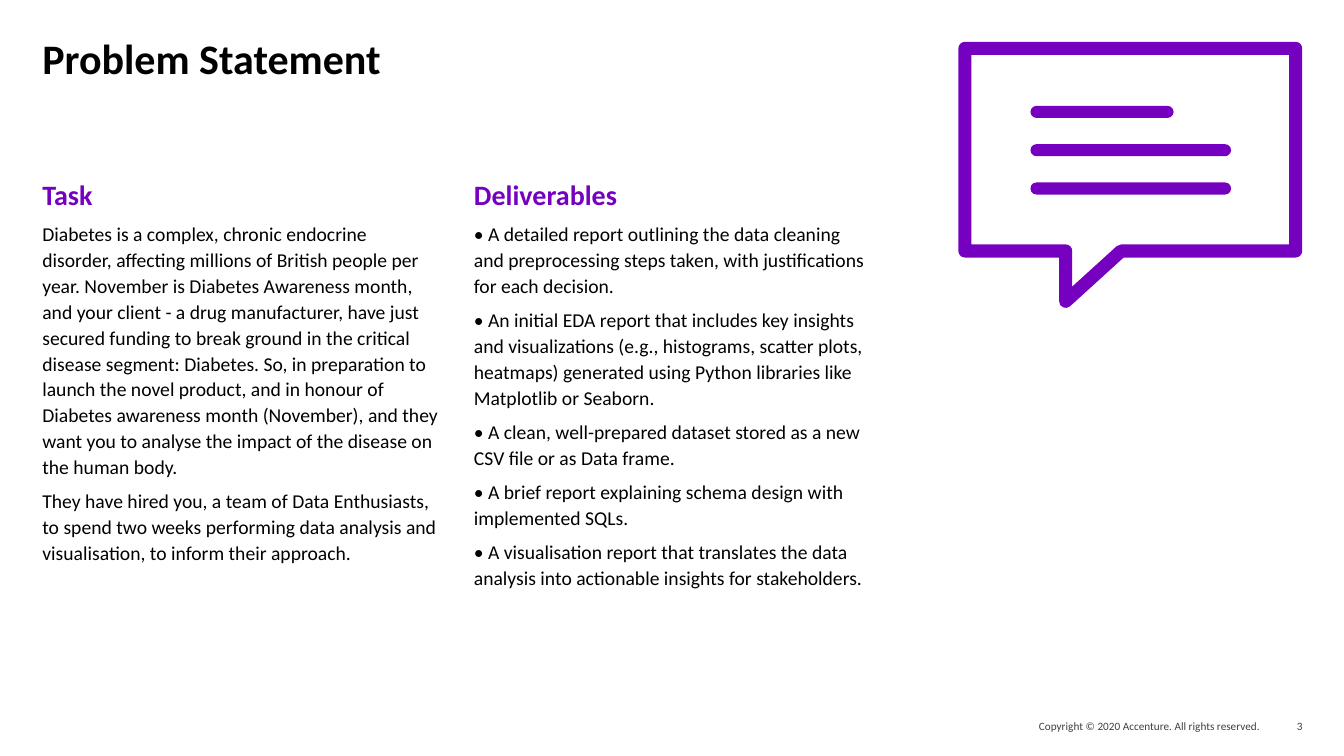
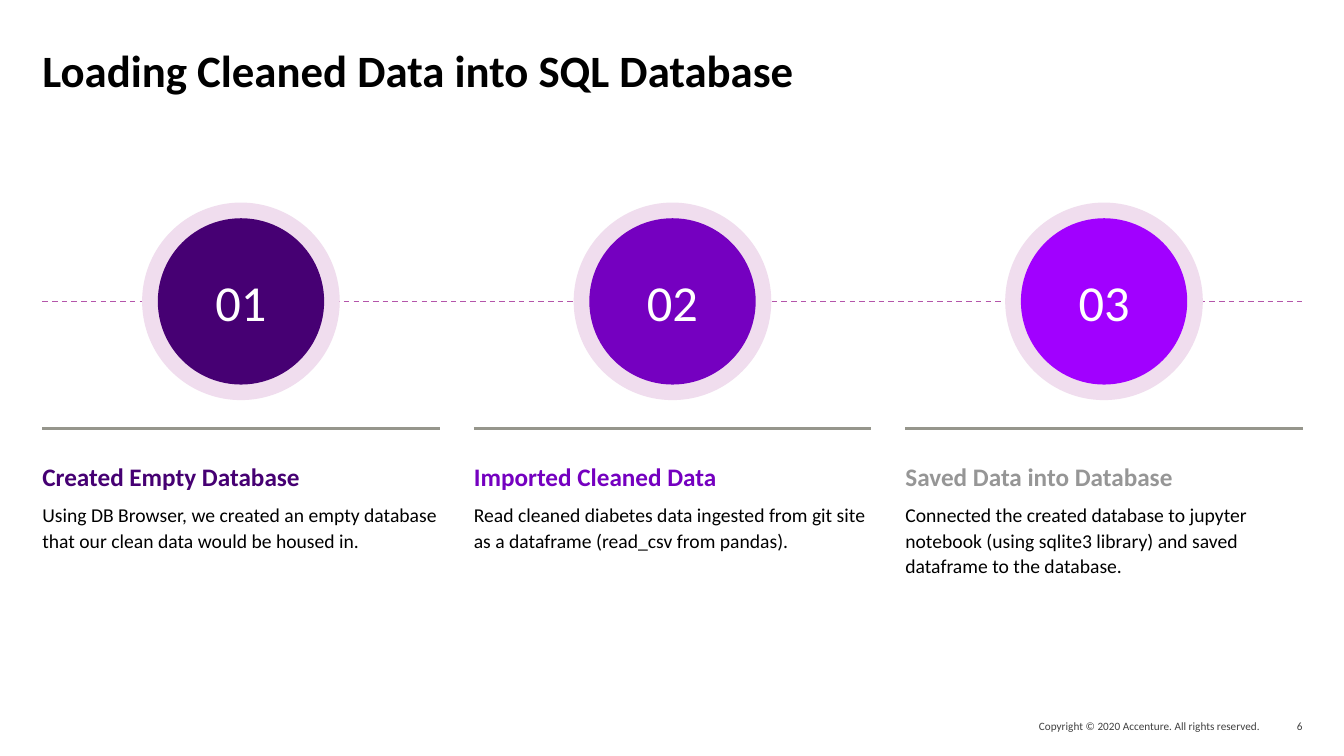
from lxml.etree import SubElement
from pptx import Presentation
from pptx.dml.color import RGBColor
from pptx.enum.dml import MSO_LINE
from pptx.enum.shapes import MSO_CONNECTOR, MSO_SHAPE
from pptx.enum.text import MSO_ANCHOR, MSO_AUTO_SIZE, PP_ALIGN
from pptx.oxml.ns import qn
from pptx.util import Inches, Pt

BLACK = RGBColor(0x00, 0x00, 0x00)
WHITE = RGBColor(0xFF, 0xFF, 0xFF)
FOOTER_GREY = RGBColor(0x40, 0x40, 0x40)
INDIGO = RGBColor(0x46, 0x00, 0x73)
PURPLE = RGBColor(0x75, 0x00, 0xC0)
VIOLET = RGBColor(0xA1, 0x00, 0xFF)
GREY = RGBColor(0x96, 0x96, 0x96)
RULE_GREY = RGBColor(0x96, 0x96, 0x8C)
RING_PINK = RGBColor(0xF0, 0xDD, 0xEE)
DASH_PINK = RGBColor(0xB4, 0x55, 0xAA)

FONT = "Calibri"
WIDTH, HEIGHT = 13.33, 7.5
MARGIN, CONTENT_WIDTH = 0.42, 12.5
RIGHT_EDGE = MARGIN + CONTENT_WIDTH
COLUMN_WIDTH = 3.94
COLUMN_STEP = (CONTENT_WIDTH - COLUMN_WIDTH) / 2
COLUMN_LEFTS = [MARGIN + i * COLUMN_STEP for i in range(3)]

TITLE = {"alignment": PP_ALIGN.LEFT, "bold": True, "color": BLACK}
BODY = {"size": Pt(14), "color": BLACK, "line_spacing": 1.1, "space_before": Pt(6)}
HEADING = {"size": Pt(20), "bold": True, "color": PURPLE, "line_spacing": 0.8,
           "space_before": Pt(0)}
STEP_HEADING = {"size": Pt(18), "bold": True, "line_spacing": 1.1}
STEP_NUMBER = {"size": Pt(36), "color": WHITE, "alignment": PP_ALIGN.CENTER}
FOOTER = {"size": Pt(8), "color": FOOTER_GREY, "alignment": PP_ALIGN.RIGHT}

COPYRIGHT = "Copyright © 2020 Accenture. All rights reserved."

BRIEF = [
    ("Task", [
        "Diabetes is a complex, chronic endocrine disorder, affecting millions of British "
        "people per year. November is Diabetes Awareness month, and your client - a drug "
        "manufacturer, have just secured funding to break ground in the critical disease "
        "segment: Diabetes. So, in preparation to launch the novel product, and in honour of "
        "Diabetes awareness month (November), and they want you to analyse the impact of the "
        "disease on the human body.",
        "They have hired you, a team of Data Enthusiasts, to spend two weeks performing data "
        "analysis and visualisation, to inform their approach.",
    ]),
    ("Deliverables", [
        "• A detailed report outlining the data cleaning and preprocessing steps taken, with "
        "justifications for each decision.",
        "• An initial EDA report that includes key insights and visualizations (e.g., "
        "histograms, scatter plots, heatmaps) generated using Python libraries like "
        "Matplotlib or Seaborn.",
        "• A clean, well-prepared dataset stored as a new CSV file or as Data frame.",
        "• A brief report explaining schema design with implemented SQLs.",
        "• A visualisation report that translates the data analysis into actionable insights "
        "for stakeholders.",
    ]),
]

STEPS = [
    ("01", INDIGO, INDIGO, "Created Empty Database",
     "Using DB Browser, we created an empty database that our clean data would be housed in."),
    ("02", PURPLE, PURPLE, "Imported Cleaned Data",
     "Read cleaned diabetes data ingested from git site as a dataframe "
     "(read_csv from pandas)."),
    ("03", VIOLET, GREY, "Saved Data into Database",
     "Connected the created database to jupyter notebook (using sqlite3 library) and saved "
     "dataframe to the database."),
]

BUBBLE_OUTLINE = [(9.57, 0.48), (12.85, 0.48), (12.85, 2.49), (11.12, 2.49),
                  (10.57, 2.99), (10.57, 2.49), (9.57, 2.49)]
BUBBLE_TEXT_LEFT, BUBBLE_TEXT_TOP, BUBBLE_TEXT_STEP = 10.22, 1.05, 0.38
BUBBLE_TEXT_WIDTHS = [1.42, 1.99, 1.99]
BUBBLE_STROKE = 0.13


def box(*lengths):
    return [Inches(length) for length in lengths]


def place(shape, *lengths):
    shape.left, shape.top, shape.width, shape.height = box(*lengths)


def write(frame, paragraphs, anchor=MSO_ANCHOR.TOP, inset=0):
    """Fill a text frame with (text, format) pairs."""
    frame.word_wrap = True
    frame.auto_size = MSO_AUTO_SIZE.NONE
    frame.vertical_anchor = anchor
    for side in ("left", "right", "top", "bottom"):
        setattr(frame, f"margin_{side}", Inches(inset))
    for index, (text, style) in enumerate(paragraphs):
        paragraph = frame.add_paragraph() if index else frame.paragraphs[0]
        paragraph.text = text
        bullet_free = paragraph._p.get_or_add_pPr()
        bullet_free.set("marL", "0")
        bullet_free.set("indent", "0")
        SubElement(bullet_free, qn("a:buNone"))
        font = paragraph.runs[0].font
        font.name = FONT
        for name, value in style.items():
            if name == "color":
                font.color.rgb = value
            else:
                setattr(font if name in ("size", "bold") else paragraph, name, value)


def add_text(slide, lengths, paragraphs, anchor=MSO_ANCHOR.TOP):
    write(slide.shapes.add_textbox(*box(*lengths)).text_frame, paragraphs, anchor)


def add_filled(shapes, preset, lengths, color):
    shape = shapes.add_shape(preset, *box(*lengths))
    shape.shadow.inherit = False
    shape.fill.solid()
    shape.fill.fore_color.rgb = color
    shape.line.fill.background()
    return shape


def add_circle(slide, center_x, center_y, size, color):
    lengths = (center_x - size / 2, center_y - size / 2, size, size)
    return add_filled(slide.shapes, MSO_SHAPE.OVAL, lengths, color)


def add_rule(slide, left, right, y, color, weight, dash=None):
    rule = slide.shapes.add_connector(MSO_CONNECTOR.STRAIGHT, *box(left, y, right, y))
    rule.line.color.rgb = color
    rule.line.width = Pt(weight)
    rule.line.dash_style = dash
    SubElement(rule._element.spPr, qn("a:effectLst"))


def add_slide(prs, layout, title, number, **title_format):
    slide = prs.slides.add_slide(prs.slide_layouts.get_by_name(layout))
    place(slide.shapes.title, MARGIN, MARGIN, CONTENT_WIDTH, 0.77)
    write(slide.shapes.title.text_frame, [(title, TITLE | title_format)])
    for text, left, width in ((COPYRIGHT, 9.1, 3.4), (number, 12.5, 0.42)):
        add_text(slide, (left, 7.09, width, 0.22), [(text, FOOTER)], MSO_ANCHOR.MIDDLE)
    return slide


def add_speech_bubble(slide):
    shapes = slide.shapes.add_group_shape().shapes
    start, *rest = [box(*point) for point in BUBBLE_OUTLINE]
    builder = shapes.build_freeform(*start)
    builder.add_line_segments(rest, close=True)
    outline = builder.convert_to_shape()
    outline.shadow.inherit = False
    outline.fill.background()
    outline.line.color.rgb = PURPLE
    outline.line.width = Inches(BUBBLE_STROKE)
    SubElement(outline.line._get_or_add_ln(), qn("a:round"))
    for row, width in enumerate(BUBBLE_TEXT_WIDTHS):
        top = BUBBLE_TEXT_TOP + row * BUBBLE_TEXT_STEP
        bar = add_filled(shapes, MSO_SHAPE.ROUNDED_RECTANGLE,
                         (BUBBLE_TEXT_LEFT, top, width, 0.12), PURPLE)
        bar.adjustments[0] = 0.5


def build_problem_slide(prs):
    slide = add_slide(prs, "Two Content", "Problem Statement", "3",
                      size=Pt(30), line_spacing=0.8)
    add_speech_bubble(slide)
    bodies = list(slide.placeholders)[1:]
    for body, left, (heading, texts) in zip(bodies, COLUMN_LEFTS, BRIEF):
        place(body, left, 1.83, COLUMN_WIDTH, 4.7)
        write(body.text_frame, [(heading, HEADING)] + [(text, BODY) for text in texts])


def build_loading_slide(prs):
    slide = add_slide(prs, "Title Only", "Loading Cleaned Data into SQL Database", "6",
                      size=Pt(32))
    timeline_y = 2.99
    add_rule(slide, MARGIN, RIGHT_EDGE, timeline_y, DASH_PINK, 1, MSO_LINE.DASH)
    for left, (number, disc_color, heading_color, heading, text) in zip(COLUMN_LEFTS, STEPS):
        center = left + COLUMN_WIDTH / 2
        add_circle(slide, center, timeline_y, 1.96, RING_PINK)
        disc = add_circle(slide, center, timeline_y, 1.65, disc_color)
        write(disc.text_frame, [(number, STEP_NUMBER)], MSO_ANCHOR.MIDDLE, 0.12)
        add_rule(slide, left, left + COLUMN_WIDTH, 4.25, RULE_GREY, 2)
        add_text(slide, (left, 4.55, COLUMN_WIDTH, 1.63),
                 [(heading, STEP_HEADING | {"color": heading_color}), (text, BODY)])


def main():
    prs = Presentation()
    prs.slide_width, prs.slide_height = box(WIDTH, HEIGHT)
    build_problem_slide(prs)
    build_loading_slide(prs)
    prs.save("out.pptx")


if __name__ == "__main__":
    main()
